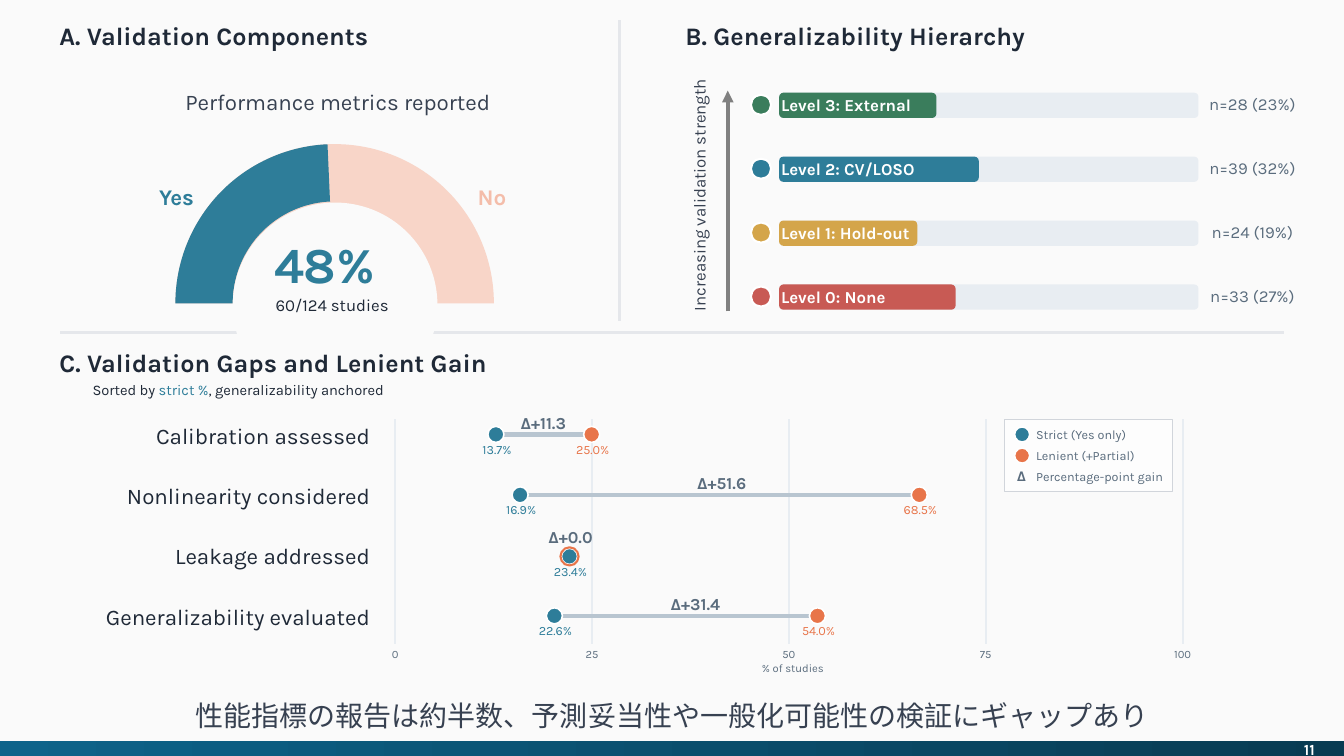
from lxml.etree import SubElement
from pptx import Presentation
from pptx.dml.color import RGBColor
from pptx.enum.shapes import MSO_CONNECTOR as Link, MSO_SHAPE as Shape
from pptx.enum.text import PP_ALIGN as Align
from pptx.oxml.ns import qn
from pptx.util import Inches, Pt

# The grid has square cells, ten to the inch; boxes are (column, row, columns, rows).
COLS, ROWS = 133.33, 75
INK, SLATE, GREY = "1F2937", "374151", "5A6C7D"
TEAL, CORAL, WHITE, PAPER = "2E7D99", "E8754A", "FFFFFF", "FAFAFA"
RULE, TRACK = "E5E7EB", "E8EDF2"


def cells(*counts):
    return [Inches(n / 10) for n in counts]


def paint(color, code):
    color.rgb = RGBColor.from_string(code)


def shape(slide, kind, box, fill, line=None, width=1):
    item = slide.shapes.add_shape(kind, *cells(*box))
    item.shadow.inherit = False
    if fill:
        item.fill.solid()
        paint(item.fill.fore_color, fill)
    else:
        item.fill.background()
    if line:
        paint(item.line.color, line)
        item.line.width = Pt(width)
    else:
        item.line.fill.background()
    return item


def dot(slide, x, y, size, fill, line=WHITE, width=1.13):
    """Draw a circle around the centre x, y."""
    box = (x - size / 2, y - size / 2, size, size)
    return shape(slide, Shape.OVAL, box, fill, line, width)


def rule(slide, ends, color, width, arrow=False):
    item = slide.shapes.add_connector(Link.STRAIGHT, *cells(*ends))
    paint(item.line.color, color)
    item.line.width = Pt(width)
    if arrow:
        SubElement(item.line._get_or_add_ln(), qn("a:tailEnd"), type="triangle")
    SubElement(item._element.spPr, qn("a:effectLst"))


def text(slide, box, words, size, color, bold=False, align=Align.LEFT,
         font="Karla", turn=0):
    """Add a one-line text; words is a string or a list of (string, colour)."""
    item = slide.shapes.add_textbox(*cells(*box))
    item.rotation = turn
    item.text_frame.word_wrap = True
    line = item.text_frame.paragraphs[0]
    line.alignment = align
    parts = [(words, color)] if isinstance(words, str) else words
    for part, tint in parts:
        run = line.add_run()
        run.text = part
        run.font.name, run.font.size, run.font.bold = font, Pt(size), bold
        paint(run.font.color, tint)
        SubElement(run._r.get_or_add_rPr(), qn("a:ea"), typeface=font)


def middle(slide, x, top, width, words, size, color, bold=False):
    """Add a text centred on column x."""
    text(slide, (x - width / 2, top, width, 3), words, size, color, bold,
         Align.CENTER)


def heading(slide, x, y, words):
    text(slide, (x, y, 57.8, 4), words, 18, INK, True)


def frame(slide):
    """Add the dividers, the foot bar, the page number and the message."""
    bar = shape(slide, Shape.RECTANGLE, (0, 73.55, COLS, ROWS - 73.55), TEAL)
    bar.fill.gradient()
    bar.fill.gradient_angle = 0
    for stop, code in zip(bar.fill.gradient_stops, ("0D638A", "083B52")):
        paint(stop.color, code)
    middle(slide, 129.9, 72.9, 6.8, "11", 11, WHITE, True)
    rule(slide, (61.5, 2, 61.5, 31.8), RULE, 2.25)
    rule(slide, (6, 33, 127.4, 33), RULE, 2.25)
    text(slide, (15.2, 68.8, 103, 4.4),
         "性能指標の報告は約半数、予測妥当性や一般化可能性の検証にギャップあり",
         20, SLATE, align=Align.CENTER, font="Noto Sans CJK JP")


def gauge(slide):
    heading(slide, 4.9, 1.5, "A. Validation Components")
    text(slide, (17.4, 8.3, 36.1, 3.7), "Performance metrics reported", 16, SLATE)
    ring = (17.4, 14.3, 31.6, 31.6)
    shape(slide, Shape.BLOCK_ARC, ring, "F8D5C8")
    share = shape(slide, Shape.BLOCK_ARC, ring, TEAL)
    for i, value in enumerate((108, 160.46, 0.18)):
        share.adjustments[i] = value
    dot(slide, 33.25, 30.25, 20.3, PAPER, None)
    text(slide, (14.8, 17.7, 5.5, 3.7), "Yes", 16, TEAL, True)
    text(slide, (46.4, 17.7, 5.5, 3.7), "No", 16, "F4BDAA", True)
    text(slide, (26.2, 22.6, 13.5, 7.1), "48%", 36, TEAL, True)
    middle(slide, 32.95, 28.7, 16.5, "60/124 studies", 12, INK)


def levels(slide):
    heading(slide, 67, 1.5, "B. Generalizability Hierarchy")
    rule(slide, (72.2, 30.9, 72.2, 9), "808080", 2.75, arrow=True)
    text(slide, (56.4, 17.4, 25.9, 3), "Increasing validation strength", 12,
         SLATE, turn=270)
    tiers = [("Level 3: External", "n=28 (23%)", 15.6, "3A7D5C"),
             ("Level 2: CV/LOSO", "n=39 (32%)", 19.8, TEAL),
             ("Level 1: Hold-out", "n=24 (19%)", 13.7, "D4A54A"),
             ("Level 0: None", "n=33 (27%)", 17.5, "C85A54")]
    for i, (name, count, width, color) in enumerate(tiers):
        top = 9.2 + 6.34 * i
        dot(slide, 75.5, top + 1.2, 2, color, width=1.5)
        shape(slide, Shape.ROUNDED_RECTANGLE, (77.3, top, 41.6, 2.5), TRACK)
        shape(slide, Shape.ROUNDED_RECTANGLE, (77.3, top, width, 2.5), color)
        text(slide, (76.5, top - 0.25, 15.9, 3), name, 12, WHITE, True)
        middle(slide, 124.25, top - 0.35, 11.5, count, 12, GREY)


def axis(slide):
    for i in range(5):
        x = 39.2 + 19.53 * i
        rule(slide, (x, 41.6, x, 63.9), TRACK, 1.5)
        middle(slide, x, 63.7, 5.1, str(25 * i), 8, GREY)
    text(slide, (74.6, 65.1, 14, 2.4), "% of studies", 8, GREY)


def gaps(slide):
    heading(slide, 4.9, 34, "C. Validation Gaps and Lenient Gain")
    text(slide, (8.2, 37.3, 31.5, 2.9),
         [("Sorted by ", INK), ("strict %", TEAL),
          (", generalizability anchored", INK)], 10.5, INK)
    axis(slide)
    # Name, centre row, strict and lenient (column, value), gain (column, row, value)
    items = [
        ("Calibration assessed", 43.1, (49.2, "13.7%"), (58.7, "25.0%"),
         (53.9, 40.5, "Δ+11.3")),
        ("Nonlinearity considered", 49.1, (51.6, "16.9%"), (91.2, "68.5%"),
         (71.6, 46.4, "Δ+51.6")),
        ("Leakage addressed", 55.2, (56.5, "23.4%"), None,
         (56.6, 51.8, "Δ+0.0")),
        ("Generalizability evaluated", 61.1, (55, "22.6%"), (81.1, "54.0%"),
         (69, 58.4, "Δ+31.4"))]
    for i, (name, y, strict, lenient, (mid, top, gain)) in enumerate(items):
        text(slide, (9.3, 41.4 + 5.97 * i, 28.4, 3.7), name, 16, INK,
             align=Align.RIGHT)
        if lenient:
            rule(slide, (strict[0], y, lenient[0], y), "B8C5D0", 3)
        for mark, color in ((strict, TEAL), (lenient, CORAL)):
            if mark:
                dot(slide, mark[0], y, 1.6, color)
                middle(slide, mark[0] + 0.1, y + 0.25, 5.5, mark[1], 9, color)
        if not lenient:
            dot(slide, strict[0], y, 1.8, None, CORAL, 1.5)
        middle(slide, mid, top, 8.8, gain, 12, GREY, True)


def legend(slide):
    shape(slide, Shape.RECTANGLE, (99.7, 41.6, 16.6, 7.2), "FDFDFD", "D1D5DB", 0.75)
    keys = [("Strict (Yes only)", TEAL), ("Lenient (+Partial)", CORAL),
            ("Percentage-point gain", None)]
    for i, (name, color) in enumerate(keys):
        y = 43.1 + 2.1 * i
        if color:
            dot(slide, 101.4, y, 1.5, color)
        else:
            text(slide, (99.9, y - 1.5, 4, 2.8), "Δ", 10.5, GREY, True)
        text(slide, (101.8, y - 1.25, 15.9, 2.5), name, 9, GREY)


def main():
    deck = Presentation()
    deck.slide_width, deck.slide_height = cells(COLS, ROWS)
    slide = deck.slides.add_slide(deck.slide_layouts[6])
    slide.background.fill.solid()
    paint(slide.background.fill.fore_color, PAPER)
    for part in (frame, gauge, levels, gaps, legend):
        part(slide)
    deck.save("out.pptx")


if __name__ == "__main__":
    main()
